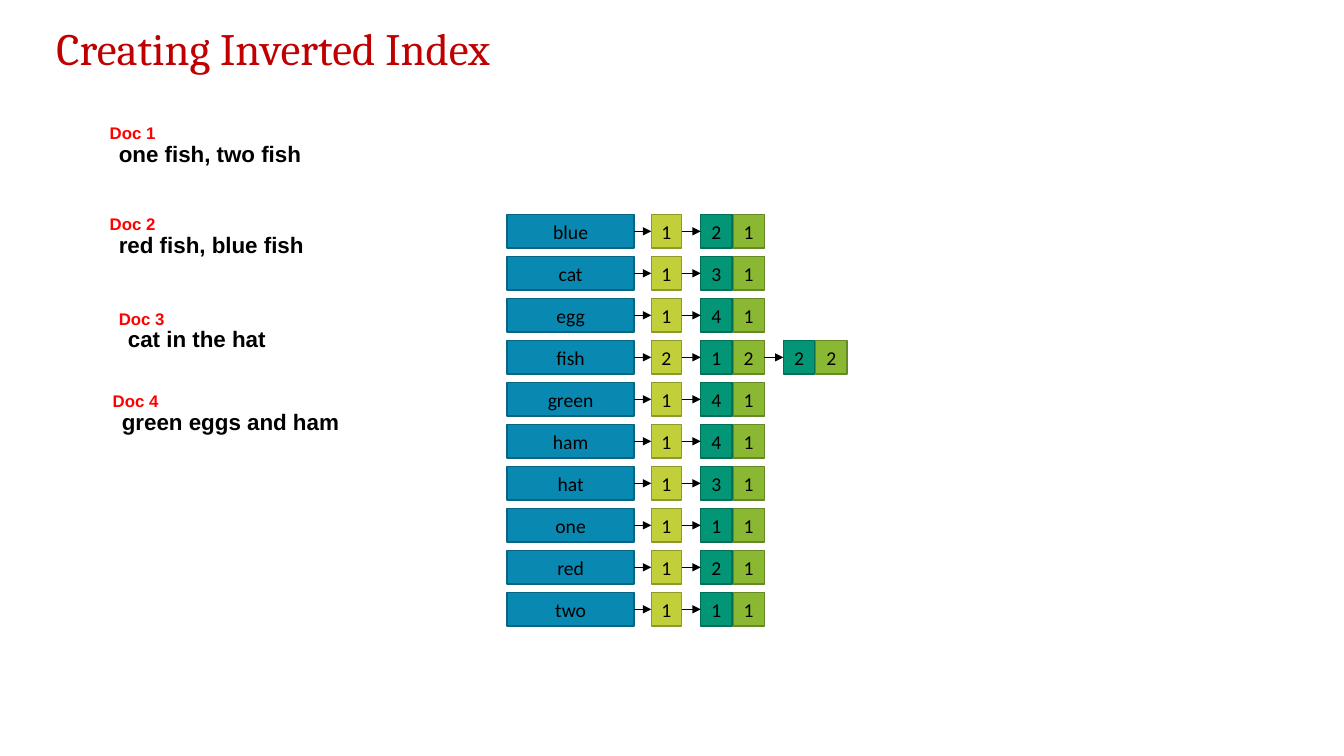
from lxml import etree
from pptx import Presentation
from pptx.dml.color import RGBColor
from pptx.enum.shapes import MSO_CONNECTOR as Connector, MSO_SHAPE as Shape
from pptx.enum.text import MSO_ANCHOR as Anchor, MSO_AUTO_SIZE as AutoSize, PP_ALIGN as Align
from pptx.oxml.ns import qn
from pptx.util import Inches, Pt

COLORS = {
    "title": "C00000", "label": "FF0000", "text": "000000",
    "term": "0989B1", "term_edge": "076583",
    "count": "C0CF3A", "count_edge": "8E992B",
    "doc": "029676", "doc_edge": "016F57",
    "freq": "8AB833", "freq_edge": "668826",
}

# Label left, label top, width of the sentence, sentence
DOCS = [
    (0.99, 1.17, 2.04, "one fish, two fish"),
    (0.99, 2.07, 2.06, "red fish, blue fish"),
    (1.08, 3.01, 1.59, "cat in the hat"),
    (1.02, 3.83, 2.38, "green eggs and ham"),
]

# Each term with its postings: (document, frequency)
INDEX = {
    "blue": [(2, 1)],
    "cat": [(3, 1)],
    "egg": [(4, 1)],
    "fish": [(1, 2), (2, 2)],
    "green": [(4, 1)],
    "ham": [(4, 1)],
    "hat": [(3, 1)],
    "one": [(1, 1)],
    "red": [(2, 1)],
    "two": [(1, 1)],
}

FIRST_ROW, ROW_STEP, ROW_HEIGHT = 2.13, 5 / 12, 0.33
TERM_LEFT, TERM_WIDTH = 5.03, 1.26
COUNT_LEFT, COUNT_WIDTH = 6.46, 0.3
POSTING_LEFT, POSTING_STEP = 6.95, 0.82
CELL_WIDTH, FREQ_OFFSET = 0.31, 0.32


def color(name):
    return RGBColor.from_string(COLORS[name])


def write(frame, text, *, size, font, fill="text", bold=False,
          align=Align.LEFT, anchor=Anchor.TOP, auto_size=AutoSize.NONE):
    frame.word_wrap = False
    frame.auto_size = auto_size
    frame.vertical_anchor = anchor
    paragraph = frame.paragraphs[0]
    paragraph.alignment = align
    run = paragraph.add_run()
    run.text = text
    run.font.size = Pt(size)
    run.font.name = font
    run.font.bold = bold
    run.font.color.rgb = color(fill)


class IndexSlide:
    """Holds the slide and the fonts its elements share."""

    def __init__(self, slide):
        self.slide = slide
        self.title_font, self.doc_font, self.cell_font = "Cambria", "Arial", "Calibri"

    def title(self, text, left, top, width, height):
        title = self.slide.shapes.title
        title.left, title.top = Inches(left), Inches(top)
        title.width, title.height = Inches(width), Inches(height)
        write(title.text_frame, text, size=32, font=self.title_font, fill="title",
              auto_size=AutoSize.SHAPE_TO_FIT_TEXT)

    def document(self, number, left, top, width, sentence):
        group = self.slide.shapes.add_group_shape()
        parts = [
            (sentence, left + 0.09, top + 0.17, width, 0.37, 16, "text"),
            (f"Doc {number}", left, top, 0.66, 0.3, 12, "label"),
        ]
        for text, x, y, w, h, size, fill in parts:
            box = group.shapes.add_textbox(Inches(x), Inches(y), Inches(w), Inches(h))
            write(box.text_frame, text, size=size, font=self.doc_font, fill=fill,
                  bold=True, auto_size=AutoSize.SHAPE_TO_FIT_TEXT)

    def cell(self, role, value, left, top, width):
        cell = self.slide.shapes.add_shape(
            Shape.RECTANGLE, Inches(left), Inches(top), Inches(width), Inches(ROW_HEIGHT))
        cell.shadow.inherit = False
        cell.fill.solid()
        cell.fill.fore_color.rgb = color(role)
        cell.line.color.rgb = color(f"{role}_edge")
        cell.line.width = Pt(1)
        write(cell.text_frame, str(value), size=14, font=self.cell_font,
              align=Align.CENTER, anchor=Anchor.MIDDLE)

    def arrow(self, start, end, y):
        arrow = self.slide.shapes.add_connector(
            Connector.STRAIGHT, Inches(start), Inches(y), Inches(end), Inches(y))
        arrow.line.color.rgb = color("text")
        arrow.line.width = Pt(0.5)
        etree.SubElement(arrow.line._get_or_add_ln(), qn("a:tailEnd"), type="triangle")
        etree.SubElement(arrow._element.spPr, qn("a:effectLst"))

    def index_row(self, term, postings, top):
        """Draw a term, its document count and its chain of postings."""
        middle = top + ROW_HEIGHT / 2
        self.cell("term", term, TERM_LEFT, top, TERM_WIDTH)
        self.cell("count", len(postings), COUNT_LEFT, top, COUNT_WIDTH)
        self.arrow(TERM_LEFT + TERM_WIDTH, COUNT_LEFT, middle)
        previous_end = COUNT_LEFT + COUNT_WIDTH
        for position, (doc, freq) in enumerate(postings):
            left = POSTING_LEFT + position * POSTING_STEP
            self.cell("freq", freq, left + FREQ_OFFSET, top, CELL_WIDTH)
            self.cell("doc", doc, left, top, CELL_WIDTH)
            self.arrow(previous_end, left, middle)
            previous_end = left + FREQ_OFFSET + CELL_WIDTH


def main():
    deck = Presentation()
    deck.slide_width, deck.slide_height = Inches(13.33), Inches(7.5)
    title_only = deck.slide_layouts[5]
    page = IndexSlide(deck.slides.add_slide(title_only))

    page.title("Creating Inverted Index", 0.46, 0.16, 5.24, 0.64)
    for number, doc in enumerate(DOCS, start=1):
        page.document(number, *doc)
    for row, (term, postings) in enumerate(INDEX.items()):
        page.index_row(term, postings, FIRST_ROW + row * ROW_STEP)

    deck.save("out.pptx")


if __name__ == "__main__":
    main()
